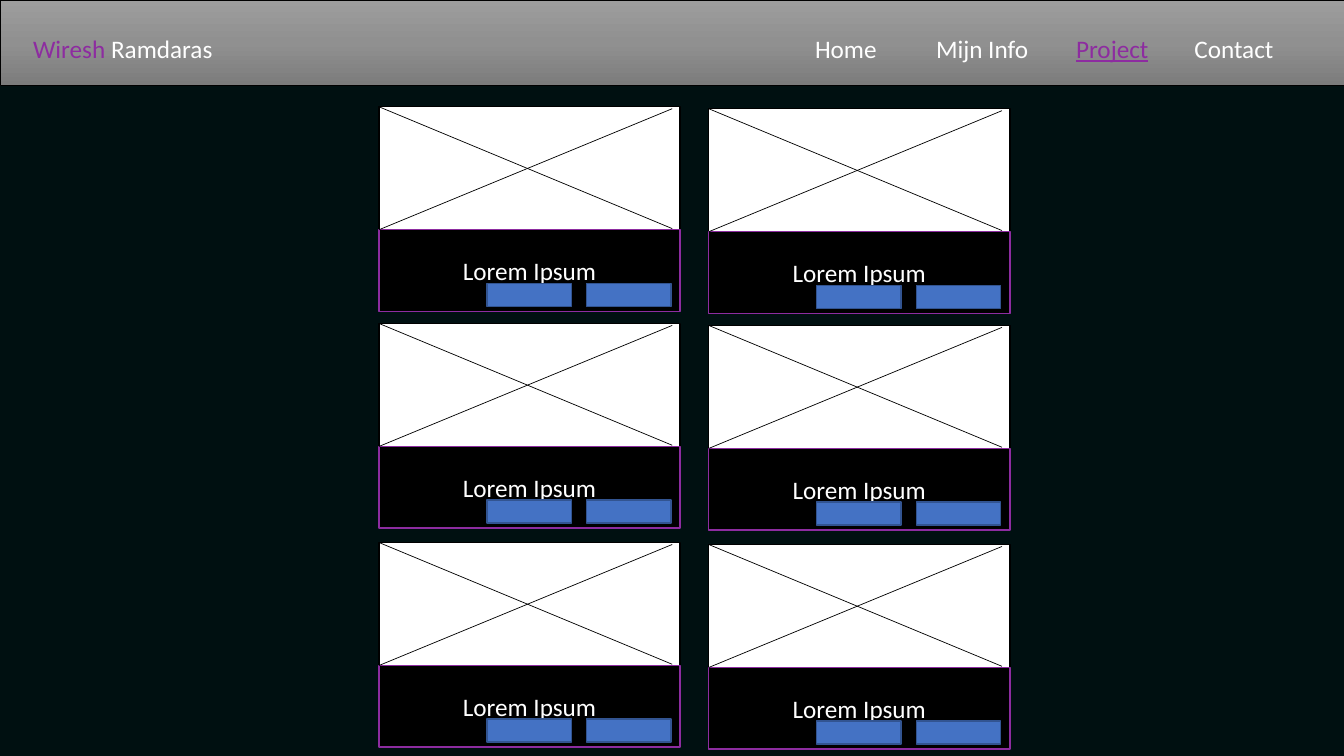
"""Wireframe of a portfolio project page with a navigation bar and six cards."""
from copy import deepcopy

from lxml import etree
from pptx import Presentation
from pptx import util as u
from pptx.dml.color import RGBColor
from pptx.enum import shapes, text
from pptx.oxml.ns import qn

COLOURS = {
    "background": "001011",
    "bar_top": "9D9D9D",
    "bar_middle": "909090",
    "bar_bottom": "7C7C7C",
    "accent": "8D2CA0",
    "white": "FFFFFF",
    "black": "000000",
    "button": "4472C4",
    "button_edge": "325491",
}
NAVIGATION = [("Home", 20.29, 3.15), ("Mijn Info", 23.34, 3.15),
              ("Project", 26.87, 2.57), ("Contact", 29.85, 2.57)]
CURRENT_PAGE = "Project"
CARD_COLUMNS = [(9.55, 0), (17.86, 0.05)]
CARD_ROWS = [2.69, 8.15, 13.67]
BUTTON_OFFSETS = [2.72, 5.23]


class Wireframe:
    """Holds the style and the current slide, and draws each kind of element."""

    font_name = "Calibri"
    font_size = u.Pt(18)

    def __init__(self, presentation):
        self.slide = presentation.slides.add_slide(presentation.slide_layouts[5])
        background = self.slide.background.fill
        background.solid()
        background.fore_color.rgb = self.colour("background")

    def colour(self, name):
        return RGBColor.from_string(COLOURS[name])

    def style_text(self, paragraph, alignment, colour="white"):
        paragraph.alignment = alignment
        paragraph.font.name = self.font_name
        paragraph.font.size = self.font_size
        paragraph.font.color.rgb = self.colour(colour)

    def rectangle(self, left, top, width, height, edge, fill=None, weight=1):
        shape = self.slide.shapes.add_shape(
            shapes.MSO_SHAPE.RECTANGLE,
            u.Cm(left), u.Cm(top), u.Cm(width), u.Cm(height))
        shape.shadow.inherit = False
        if fill:
            shape.fill.solid()
            shape.fill.fore_color.rgb = self.colour(fill)
        shape.line.color.rgb = self.colour(edge)
        shape.line.width = u.Pt(weight)
        return shape

    def header_bar(self):
        bar = self.rectangle(0, 0, 33.87, 2.16, "black", weight=0.5)
        bar.fill.gradient()
        bar.fill.gradient_angle = 270
        stop_list = bar._element.spPr.find(qn("a:gradFill")).find(qn("a:gsLst"))
        stop_list.insert(1, deepcopy(stop_list[0]))
        names = ("bar_top", "bar_middle", "bar_bottom")
        for stop, name, position in zip(bar.fill.gradient_stops, names, (0, 0.5, 1)):
            stop.color.rgb = self.colour(name)
            stop.position = position

    def title(self, first_name, last_name):
        title = self.slide.shapes.title
        self.slide.shapes._spTree.append(title._element)
        title.left, title.top = u.Cm(0.58), u.Cm(0.71)
        title.width, title.height = u.Cm(5.05), u.Cm(1.02)
        frame = title.text_frame
        frame.word_wrap = True
        frame.auto_size = text.MSO_AUTO_SIZE.SHAPE_TO_FIT_TEXT
        frame.vertical_anchor = text.MSO_ANCHOR.TOP
        paragraph = frame.paragraphs[0]
        self.style_text(paragraph, text.PP_ALIGN.LEFT)
        for words, name in ((first_name, "accent"), (" " + last_name, "white")):
            run = paragraph.add_run()
            run.text = words
            run.font.color.rgb = self.colour(name)

    def navigation_item(self, label, left, width):
        box = self.slide.shapes.add_textbox(
            u.Cm(left), u.Cm(0.71), u.Cm(width), u.Cm(1.02))
        box.text_frame.word_wrap = True
        box.text_frame.auto_size = text.MSO_AUTO_SIZE.SHAPE_TO_FIT_TEXT
        paragraph = box.text_frame.paragraphs[0]
        paragraph.text = label
        current = label == CURRENT_PAGE
        self.style_text(paragraph, text.PP_ALIGN.LEFT,
                        "accent" if current else "white")
        if current:
            paragraph.runs[0].font.underline = True

    def line(self, left, top, right, bottom):
        connector = self.slide.shapes.add_connector(
            shapes.MSO_CONNECTOR.STRAIGHT,
            u.Cm(left), u.Cm(top), u.Cm(right), u.Cm(bottom))
        connector.line.color.rgb = self.colour("black")
        connector.line.width = u.Pt(0.5)
        etree.SubElement(connector._element.spPr, qn("a:effectLst"))

    def card(self, left, top, caption):
        self.rectangle(left, top, 7.59, 3.12, "black", "white")
        panel = self.rectangle(left, top + 3.1, 7.59, 2.06, "accent", "black")
        panel.text_frame.vertical_anchor = text.MSO_ANCHOR.MIDDLE
        paragraph = panel.text_frame.paragraphs[0]
        paragraph.text = caption
        self.style_text(paragraph, text.PP_ALIGN.CENTER)
        self.line(left, top, left + 7.39, top + 3.07)
        self.line(left, top + 3.1, left + 7.39, top + 0.05)
        for offset in BUTTON_OFFSETS:
            self.rectangle(left + offset, top + 4.45, 2.13, 0.58,
                           "button_edge", "button")


def main():
    presentation = Presentation()
    presentation.slide_width = u.Cm(33.87)
    presentation.slide_height = u.Cm(19.05)
    page = Wireframe(presentation)
    page.header_bar()
    page.title("Wiresh", "Ramdaras")
    for label, left, width in NAVIGATION:
        page.navigation_item(label, left, width)
    for left, shift in CARD_COLUMNS:
        for top in CARD_ROWS:
            page.card(left, top + shift, "Lorem Ipsum")
    presentation.save("out.pptx")


if __name__ == "__main__":
    main()
